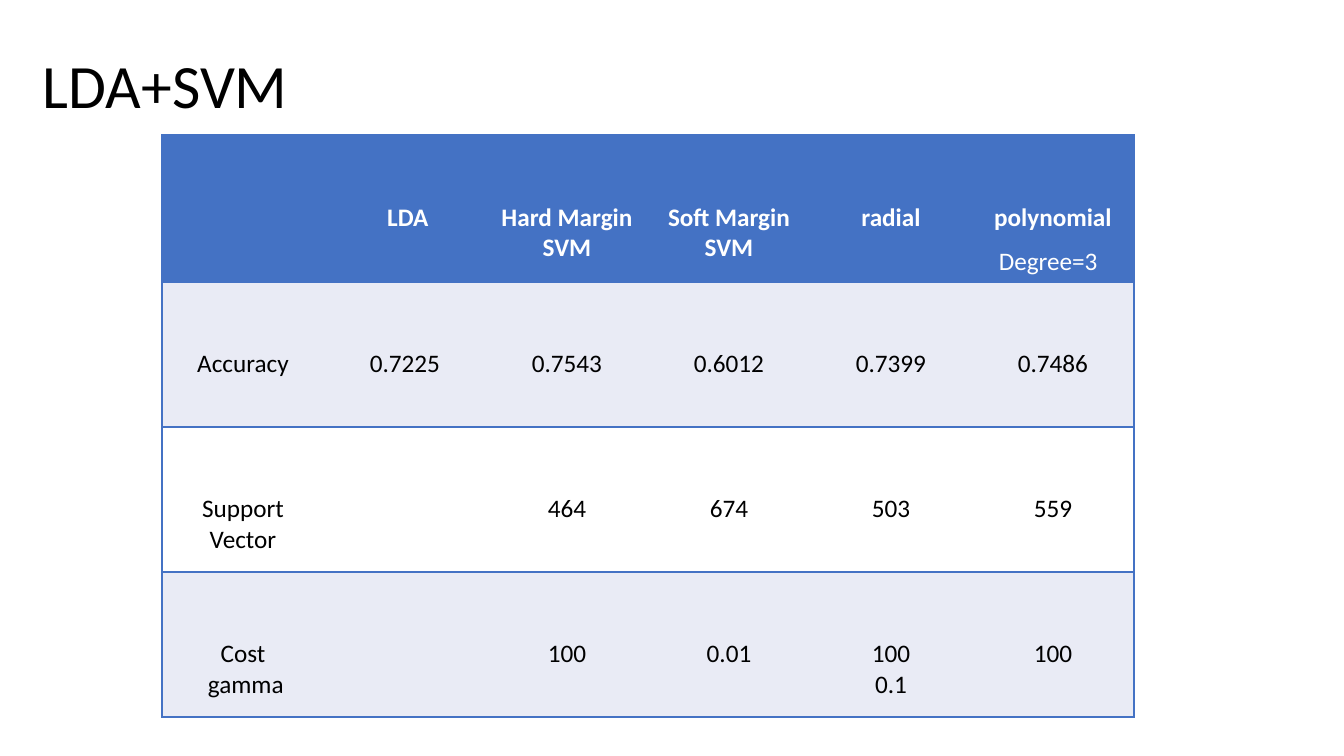
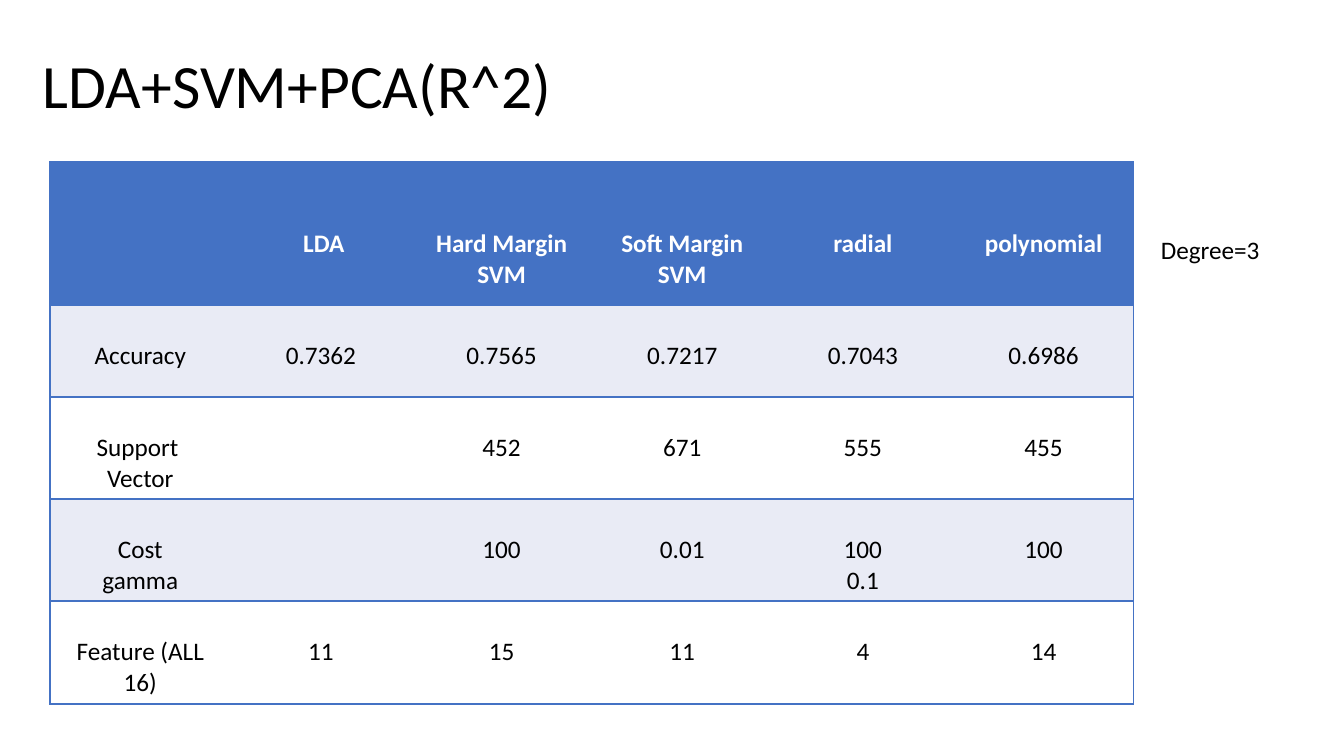
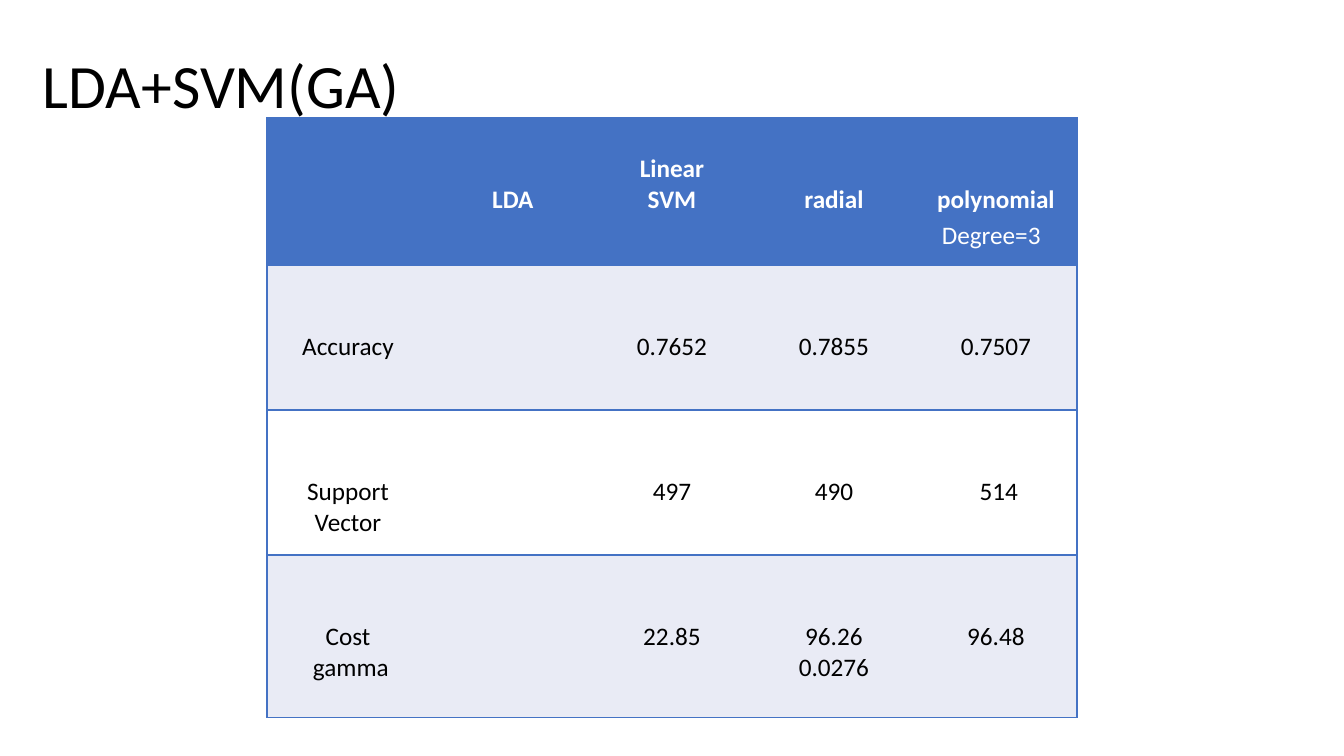
from lxml.etree import SubElement
from pptx import Presentation
from pptx.dml.color import RGBColor
from pptx.enum.text import MSO_ANCHOR, PP_ALIGN
from pptx.oxml.ns import qn
from pptx.util import Pt

WIDE, HIGH = 1344, 756
SCALE = 12192000 / WIDE
LINE = 31   # height of one 18 pt line
PAD = 5     # inner margin above a cell's text
HUE = {"blue": "4472C4", "pale": "E9EBF5", "white": "FFFFFF", "black": "000000"}


def px(num):
    return round(num * SCALE)


def write(frame, text, size=18, hue="black", bold=False, align=PP_ALIGN.LEFT,
          anchor=MSO_ANCHOR.TOP, wrap=True, space=1.0):
    frame.word_wrap = wrap
    frame.vertical_anchor = anchor
    for num, line in enumerate(text.split("\n")):
        para = frame.add_paragraph() if num else frame.paragraphs[0]
        para.alignment = align
        para.line_spacing = space
        run = para.add_run()
        run.text = line
        run.font.name = "Calibri"
        run.font.size = Pt(size)
        run.font.bold = bold
        run.font.color.rgb = RGBColor.from_string(HUE[hue])


# Content: "lead" counts the lines left free above the text of each row
HEAD = ["", " LDA", "Hard Margin\nSVM", "Soft Margin SVM", "radial", "polynomial"]
DECK = [
    {
        "title": "LDA+SVM",
        "at": (162, 135), "width": 972,
        "rows": [147, 145, 145, 145], "lead": [2, 2, 2, 2],
        "cells": [
            HEAD,
            ["Accuracy", "0.7225", "0.7543", "0.6012", "0.7399", "0.7486"],
            ["Support Vector", "", "464", "674", "503", "559"],
            ["Cost\n gamma", "", "100", "0.01", "100\n0.1", "100"],
        ],
        "note": (989, 240, "white"),
    },
    {
        "title": "LDA+SVM+PCA(R^2)",
        "at": (50, 162), "width": 1084,
        "rows": [143, 92, 102, 102, 103], "lead": [2, 1, 1, 1, 1],
        "cells": [
            HEAD,
            ["Accuracy", "0.7362", "0.7565", "0.7217", "0.7043", "0.6986"],
            ["Support \nVector", "", "452", "671", "555", "455"],
            ["Cost\ngamma", "", "100", "0.01", "100\n0.1", "100"],
            ["Feature (ALL 16)", "11", "15", "11", "4", "14"],
        ],
        "note": (1151, 229, "black"),
    },
    {
        "title": "LDA+SVM(GA)",
        "at": (267, 118), "width": 810,
        "rows": [147, 145, 145, 163], "lead": [2, 2, 2, 2],
        "cells": [
            ["", " LDA", "Linear\nSVM", "radial", "polynomial"],
            ["Accuracy", "", "0.7652", "0.7855", "0.7507"],
            ["Support Vector", "", "497", "490", " 514"],
            ["Cost\n gamma", "", "22.85", "96.26\n0.0276", "96.48"],
        ],
        "note": (932, 214, "white"),
    },
]

deck = Presentation()
deck.slide_width, deck.slide_height = px(WIDE), px(HIGH)

for page in DECK:
    slide = deck.slides.add_slide(deck.slide_layouts[6])

    # Title
    box = slide.shapes.add_textbox(px(33), px(16), px(1159), px(146))
    write(box.text_frame, page["title"], size=44, anchor=MSO_ANCHOR.MIDDLE, space=0.9)

    # Table grid
    cells = page["cells"]
    left, top = page["at"]
    count = len(cells[0])
    table = slide.shapes.add_table(len(cells), count, px(left), px(top),
                                   px(page["width"]), px(sum(page["rows"]))).table
    for col in table.columns:
        col.width = px(page["width"] / count)

    # Table cells
    for r, texts in enumerate(cells):
        table.rows[r].height = px(page["rows"][r])
        fill = "blue" if r == 0 else "pale" if r % 2 else "white"
        for c, text in enumerate(texts):
            cell = table.cell(r, c)
            lead = 1 if text.startswith("Linear") else page["lead"][r]
            cell.margin_top, cell.margin_bottom = px(PAD + lead * LINE), px(4)

            # Rules above and below, and down the outer sides only
            shown = {"lnL": c == 0, "lnR": c == count - 1, "lnT": True, "lnB": True}
            props = cell._tc.get_or_add_tcPr()
            for side, on in shown.items():
                edge = SubElement(props, qn("a:" + side), w=str(Pt(1)))
                paint = SubElement(edge, qn("a:solidFill" if on else "a:noFill"))
                if on:
                    SubElement(paint, qn("a:srgbClr"), val=HUE["blue"])

            cell.fill.solid()
            cell.fill.fore_color.rgb = RGBColor.from_string(HUE[fill])
            if text:
                write(cell.text_frame, text, hue="black" if r else "white",
                      bold=r == 0, align=PP_ALIGN.CENTER)

    # Degree note
    left, top, hue = page["note"]
    box = slide.shapes.add_textbox(px(left), px(top), px(120), px(40))
    write(box.text_frame, "Degree=3", hue=hue, wrap=False)

deck.save("out.pptx")
